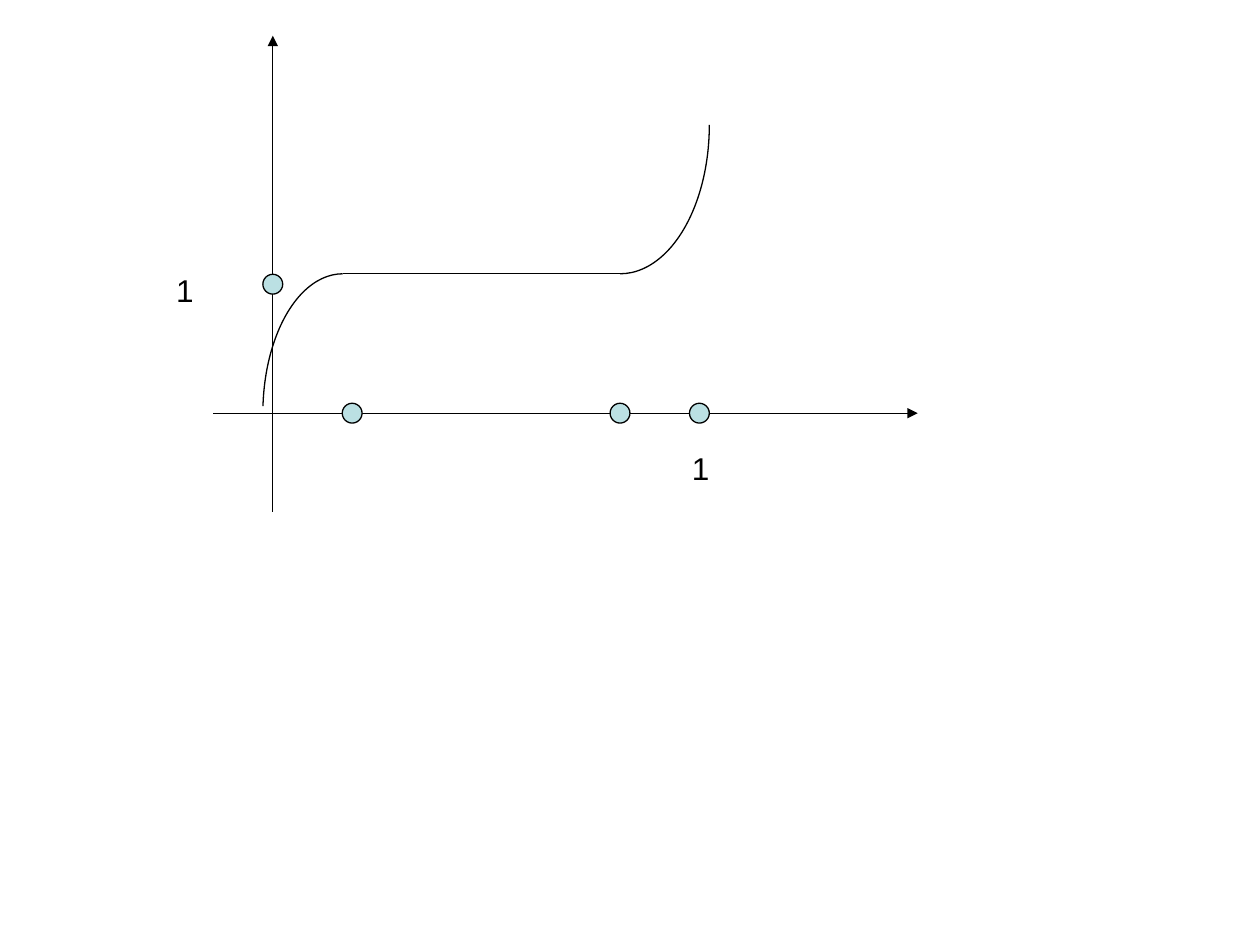
from lxml import etree
from pptx import Presentation
from pptx.dml.color import RGBColor
from pptx.enum.shapes import MSO_CONNECTOR, MSO_SHAPE
from pptx.enum.text import MSO_AUTO_SIZE
from pptx.oxml.ns import qn
from pptx.util import Cm, Pt

STRAIGHT = MSO_CONNECTOR.STRAIGHT
ARC, OVAL = MSO_SHAPE.ARC, MSO_SHAPE.OVAL
FIT_SHAPE = MSO_AUTO_SIZE.SHAPE_TO_FIT_TEXT

THEME = {
    "ink": RGBColor(0x00, 0x00, 0x00),
    "dot": RGBColor(0xBB, 0xE0, 0xE3),
    "font": "Arial",
    "text": Pt(18),
    "space_before": Pt(11.2),
    "line": Pt(0.75),
}

# Positions in cm
AXIS_X, AXIS_Y = 5.5, 8.33
PLATEAU_Y = 5.52
BEND_LEFT, BEND_RIGHT = 6.91, 12.5
DOT_SIZE = 0.4
LABEL_SIZE = (1.4, 1.02)

AXES = [
    ((4.3, AXIS_Y), (18.5, AXIS_Y)),
    ((AXIS_X, 10.32), (AXIS_X, 0.72)),
]
DOTS = [(7.1, AXIS_Y), (12.5, AXIS_Y), (14.1, AXIS_Y), (AXIS_X, 5.73)]
LABELS = [("1", 13.7, 8.92), ("1", 3.3, 5.33)]
# Centre x, centre y, radius x, radius y, start and end in degrees
BENDS = [
    (BEND_LEFT, AXIS_Y, 1.61, AXIS_Y - PLATEAU_Y, 185, 270),
    (BEND_RIGHT, 2.52, 1.8, PLATEAU_Y - 2.52, 0, 90),
]


def style_line(line):
    line.color.rgb = THEME["ink"]
    line.width = THEME["line"]


def add_line(slide, start, end, arrow=False):
    connector = slide.shapes.add_connector(
        STRAIGHT, *(Cm(value) for value in start + end))
    style_line(connector.line)
    properties = connector._element.spPr
    if arrow:
        outline = properties.find(qn("a:ln"))
        etree.SubElement(outline, qn("a:tailEnd"), type="triangle")
    etree.SubElement(properties, qn("a:effectLst"))


def add_centred(slide, preset, x, y, radius_x, radius_y):
    shape = slide.shapes.add_shape(
        preset, Cm(x - radius_x), Cm(y - radius_y),
        Cm(2 * radius_x), Cm(2 * radius_y))
    shape.shadow.inherit = False
    style_line(shape.line)
    return shape


def add_dot(slide, x, y):
    dot = add_centred(slide, OVAL, x, y, DOT_SIZE / 2, DOT_SIZE / 2)
    dot.fill.solid()
    dot.fill.fore_color.rgb = THEME["dot"]


def add_bend(slide, x, y, radius_x, radius_y, start, end):
    bend = add_centred(slide, ARC, x, y, radius_x, radius_y)
    bend.fill.background()
    # Angles are stored in 1/60000 degree, adjustments in 1/100000
    for index, angle in enumerate((start, end)):
        bend.adjustments[index] = angle * 0.6


def add_label(slide, text, left, top):
    label = slide.shapes.add_textbox(
        Cm(left), Cm(top), *(Cm(side) for side in LABEL_SIZE))
    frame = label.text_frame
    frame.word_wrap = True
    frame.auto_size = FIT_SHAPE
    paragraph = frame.paragraphs[0]
    paragraph.text = text
    paragraph.space_before = THEME["space_before"]
    paragraph.font.name = THEME["font"]
    paragraph.font.size = THEME["text"]
    paragraph.font.color.rgb = THEME["ink"]


def main():
    deck = Presentation()
    deck.slide_width, deck.slide_height = Cm(25.4), Cm(19.05)
    slide = deck.slides.add_slide(deck.slide_layouts[6])
    for start, end in AXES:
        add_line(slide, start, end, arrow=True)
    for dot in DOTS:
        add_dot(slide, *dot)
    for label in LABELS:
        add_label(slide, *label)
    add_line(slide, (BEND_LEFT, PLATEAU_Y), (BEND_RIGHT, PLATEAU_Y))
    for bend in BENDS:
        add_bend(slide, *bend)
    deck.save("out.pptx")


if __name__ == "__main__":
    main()
